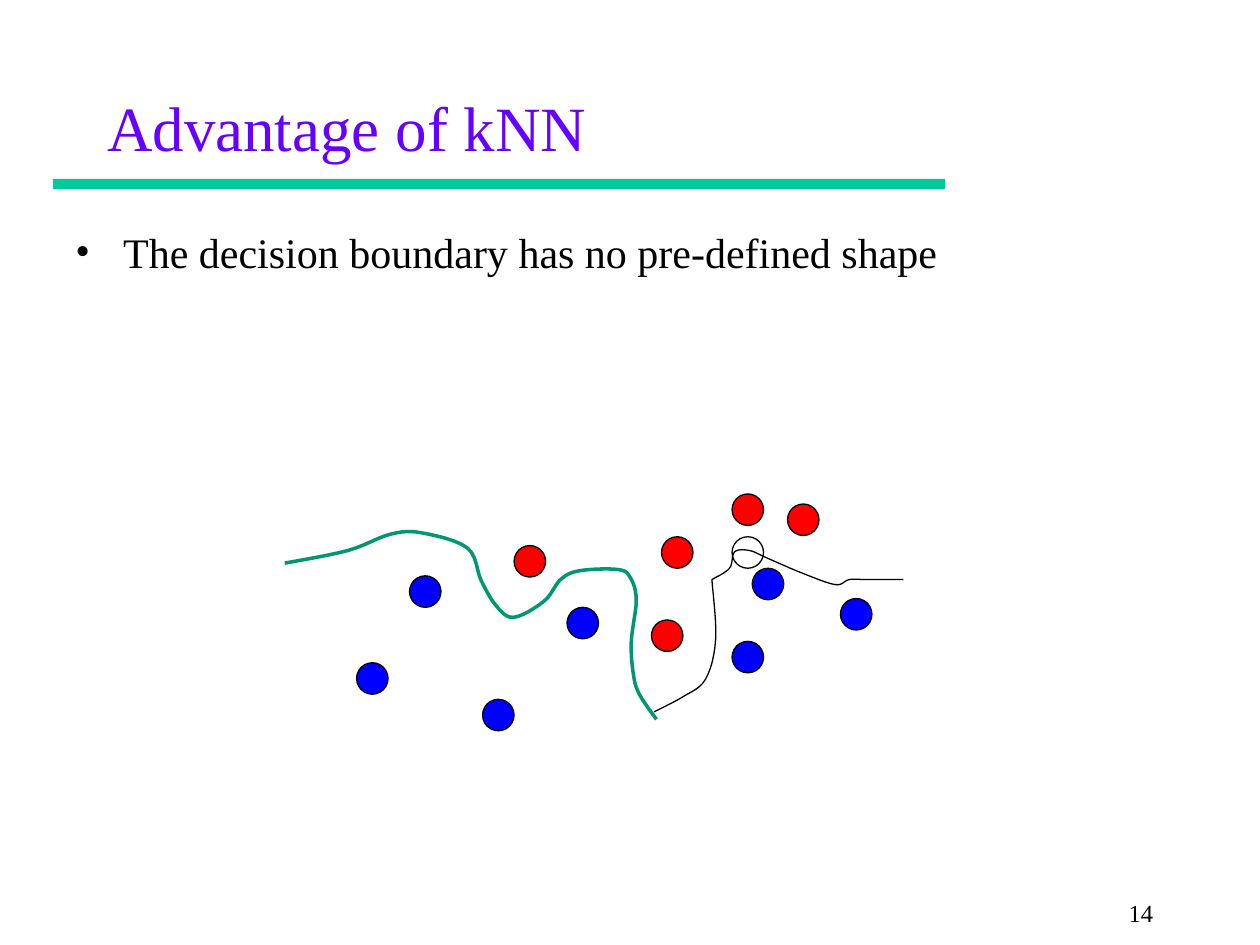
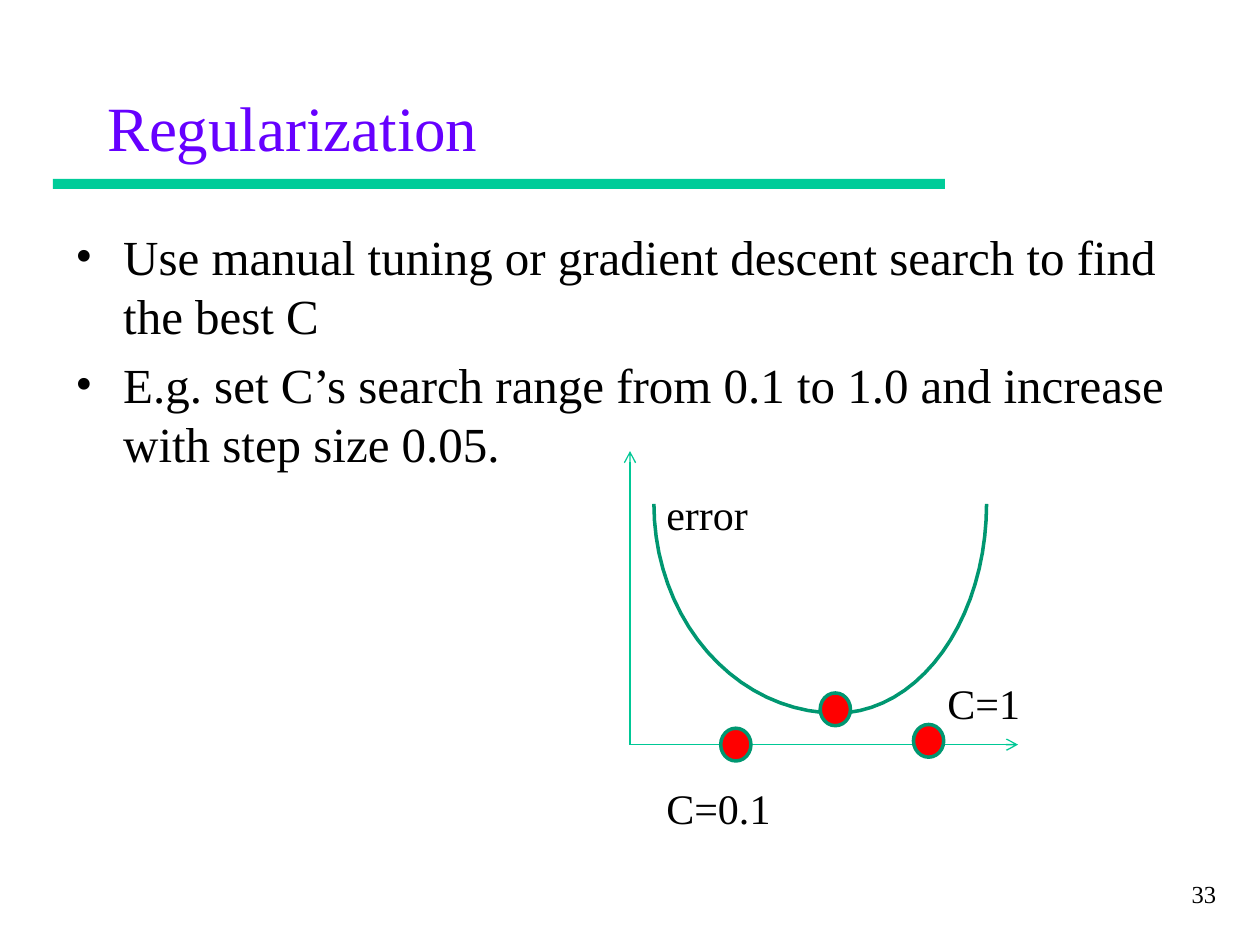
"""Build two lecture slides on kNN decision boundaries and regularization."""
from math import cos, pi, sin

from lxml import etree
from pptx import Presentation
from pptx.dml.color import RGBColor
from pptx.enum.shapes import MSO_CONNECTOR, MSO_SHAPE
from pptx.enum.text import MSO_ANCHOR, PP_ALIGN
from pptx.oxml.ns import qn
from pptx.util import Inches, Pt

OVAL = MSO_SHAPE.OVAL
RECTANGLE = MSO_SHAPE.RECTANGLE
STRAIGHT = MSO_CONNECTOR.STRAIGHT
MIDDLE = MSO_ANCHOR.MIDDLE
LEFT, RIGHT = PP_ALIGN.LEFT, PP_ALIGN.RIGHT

FONT = "Times New Roman"
TITLE_SIZE, LABEL_SIZE, NUMBER_SIZE = 36, 24, 14
BULLET_INDENT = 0.38
BLACK, RED, BLUE = "000000", "FF0000", "0000FF"
TITLE_COLOR, BAND_COLOR = "6600FF", "00CC99"
CURVE_COLOR, AXIS_COLOR = "009771", "00C896"
THIN, THICK = 0.75, 2

DOT_SIZE = 0.25
RED_DOTS = [(5.25, 4.26), (5.81, 3.92), (5.17, 4.92), (6.25, 4), (4.08, 4.33)]
BLUE_DOTS = [(6.67, 4.75), (5.97, 4.51), (5.81, 5.09), (4.5, 4.82),
             (3.83, 5.55), (3.25, 4.57), (2.83, 5.26)]
UNKNOWN_DOTS = [(5.81, 4.26)]

LEFT_BOUNDARY = [
    (5.21, 5.71), (5.08, 5.52), (5.03, 5.37), (5.01, 5.1), (5.05, 4.76),
    (5, 4.58), (4.9, 4.52), (4.6, 4.53), (4.45, 4.6), (4.32, 4.77),
    (4.08, 4.9), (3.94, 4.81), (3.82, 4.61), (3.71, 4.35), (3.35, 4.23),
    (3.1, 4.24), (2.76, 4.37), (2.26, 4.47)]
CORNER = (5.65, 4.6)
RIGHT_BOUNDARY_RISE = [
    (5.19, 5.65), (5.42, 5.53), (5.6, 5.39), (5.68, 5.07), CORNER]
RIGHT_BOUNDARY_CREST = [
    CORNER, (5.79, 4.51), (5.83, 4.38), (5.95, 4.37), (6.09, 4.43),
    (6.37, 4.55), (6.63, 4.64), (6.74, 4.6), (6.88, 4.6), (7.17, 4.6)]

ORIGIN = (5, 5.91)
ERROR_AXIS_END, C_AXIS_END = (5, 3.58), (8.08, 5.91)
ERROR_TOP, ERROR_DEPTH = 4, 1.66
ERROR_LEFT, BEST_C, ERROR_RIGHT = 5.19, 6.64, 7.83
MARKER_WIDTH, MARKER_HEIGHT = 0.24, 0.26
MARKERS = [(6.51, 5.5), (7.25, 5.75), (5.72, 5.78)]


def color(hex_value):
    """Return the colour for a hex string."""
    return RGBColor.from_string(hex_value)


def smooth(knots, steps=6):
    """Return points on a Catmull-Rom spline through the knots."""
    padded = [knots[0], *knots, knots[-1]]
    points = [knots[0]]
    for before, start, end, after in zip(
            padded, padded[1:], padded[2:], padded[3:]):
        for step in range(1, steps + 1):
            t = step / steps
            points.append(tuple(
                b + 0.5 * t * (c - a + t * (2 * a - 5 * b + 4 * c - d
                                            + t * (3 * b - a - 3 * c + d)))
                for a, b, c, d in zip(before, start, end, after)))
    return points


def error_valley(steps=40):
    """Return points on two quarter ellipses that meet at the best C."""
    points = []
    for step in range(steps + 1):
        angle = pi * step / steps
        side = ERROR_LEFT if step < steps / 2 else ERROR_RIGHT
        points.append((BEST_C + abs(cos(angle)) * (side - BEST_C),
                       ERROR_TOP + ERROR_DEPTH * sin(angle)))
    return points


def add_run(paragraph, text, size, hex_value=BLACK):
    """Append a formatted run to a paragraph."""
    run = paragraph.add_run()
    run.text = text
    run.font.name = FONT
    run.font.size = Pt(size)
    run.font.color.rgb = color(hex_value)


def add_text_frame(slide, left, top, width, height):
    """Add a wrapping text box and return its text frame."""
    shape = slide.shapes.add_textbox(*map(Inches, (left, top, width, height)))
    shape.text_frame.word_wrap = True
    return shape.text_frame


def add_label(slide, text, left, top, width, height,
              size=LABEL_SIZE, align=LEFT):
    """Add a one-paragraph text box."""
    paragraph = add_text_frame(slide, left, top, width, height).paragraphs[0]
    paragraph.alignment = align
    add_run(paragraph, text, size)


def add_bullets(slide, items, size, height):
    """Add the bulleted body text."""
    frame = add_text_frame(slide, 0.5, 1.75, 9, height)
    for index, item in enumerate(items):
        paragraph = frame.add_paragraph() if index else frame.paragraphs[0]
        paragraph.space_before = Pt(size * 0.2)
        properties = paragraph._p.get_or_add_pPr()
        properties.set("marL", str(Inches(BULLET_INDENT)))
        properties.set("indent", str(-Inches(BULLET_INDENT)))
        etree.SubElement(properties, qn("a:buFont"), typeface=FONT)
        etree.SubElement(properties, qn("a:buChar"), char="•")
        add_run(paragraph, item, size)


def style_shape(shape, fill=None, line=None, weight=THIN):
    """Set fill and outline, leaving out whichever has no colour."""
    shape.shadow.inherit = False
    if fill:
        shape.fill.solid()
        shape.fill.fore_color.rgb = color(fill)
    else:
        shape.fill.background()
    if line:
        shape.line.color.rgb = color(line)
        shape.line.width = Pt(weight)
    else:
        shape.line.fill.background()


def add_dots(slide, places, width, height, fill, line, weight):
    """Add equal ovals at the given top-left places."""
    for left, top in places:
        shape = slide.shapes.add_shape(
            OVAL, *map(Inches, (left, top, width, height)))
        style_shape(shape, fill, line, weight)


def add_curve(slide, points, line, weight):
    """Draw an open, unfilled curve through the points."""
    start, *rest = [(Inches(x), Inches(y)) for x, y in points]
    builder = slide.shapes.build_freeform(*start)
    builder.add_line_segments(rest, close=False)
    style_shape(builder.convert_to_shape(), None, line, weight)


def add_axis(slide, end):
    """Draw an arrow from the chart origin."""
    connector = slide.shapes.add_connector(
        STRAIGHT, *map(Inches, (*ORIGIN, *end)))
    connector.line.color.rgb = color(AXIS_COLOR)
    connector.line.width = Pt(THIN)
    etree.SubElement(connector.line._get_or_add_ln(),
                     qn("a:tailEnd"), type="arrow")
    etree.SubElement(connector._element.spPr, qn("a:effectLst"))


def add_titled_slide(presentation, text):
    """Add a slide with the shared title style and band."""
    slide = presentation.slides.add_slide(presentation.slide_layouts[5])
    band = slide.shapes.add_shape(
        RECTANGLE, *map(Inches, (0.42, 1.42, 7.08, 0.08)))
    style_shape(band, BAND_COLOR)
    title = slide.shapes.title
    title.left, title.top, title.width, title.height = map(
        Inches, (0.75, 0.67, 8.42, 0.67))
    title.text_frame.vertical_anchor = MIDDLE
    paragraph = title.text_frame.paragraphs[0]
    paragraph.alignment = LEFT
    add_run(paragraph, text, TITLE_SIZE, TITLE_COLOR)
    return slide


def build_knn_slide(presentation):
    """Build the slide on the kNN decision boundary."""
    slide = add_titled_slide(presentation, "Advantage of kNN")
    add_bullets(slide, ["The decision boundary has no pre-defined shape"], 24, 1)
    add_label(slide, "14", 7.25, 7.08, 2, 0.25, NUMBER_SIZE, RIGHT)
    for places, fill in (
            (RED_DOTS, RED), (BLUE_DOTS, BLUE), (UNKNOWN_DOTS, None)):
        add_dots(slide, places, DOT_SIZE, DOT_SIZE, fill, BLACK, THIN)
    right_boundary = smooth(RIGHT_BOUNDARY_RISE) + smooth(RIGHT_BOUNDARY_CREST)[1:]
    add_curve(slide, right_boundary, BLACK, THIN)
    add_curve(slide, smooth(LEFT_BOUNDARY), CURVE_COLOR, THICK)


def build_regularization_slide(presentation):
    """Build the slide on searching for the best C."""
    slide = add_titled_slide(presentation, "Regularization")
    add_bullets(slide, [
        "Use manual tuning or gradient descent search to find the best C",
        "E.g. set C’s search range from 0.1 to 1.0 and increase "
        "with step size 0.05."], 28, 1.75)
    add_label(slide, "33", 7.42, 6.93, 2.33, 0.4, NUMBER_SIZE, RIGHT)
    add_curve(slide, error_valley(), CURVE_COLOR, THICK)
    for end in (C_AXIS_END, ERROR_AXIS_END):
        add_axis(slide, end)
    add_dots(slide, MARKERS, MARKER_WIDTH, MARKER_HEIGHT,
             RED, CURVE_COLOR, THICK)
    for text, left, top, width in (("C=1", 7.42, 5.33, 1.25),
                                   ("error", 5.19, 3.83, 1.06),
                                   ("C=0.1", 5.19, 6.16, 2.06)):
        add_label(slide, text, left, top, width, 0.5)


def main():
    """Build and save the presentation."""
    presentation = Presentation()
    presentation.slide_width = Inches(10)
    presentation.slide_height = Inches(7.5)
    build_knn_slide(presentation)
    build_regularization_slide(presentation)
    presentation.save("out.pptx")


if __name__ == "__main__":
    main()
